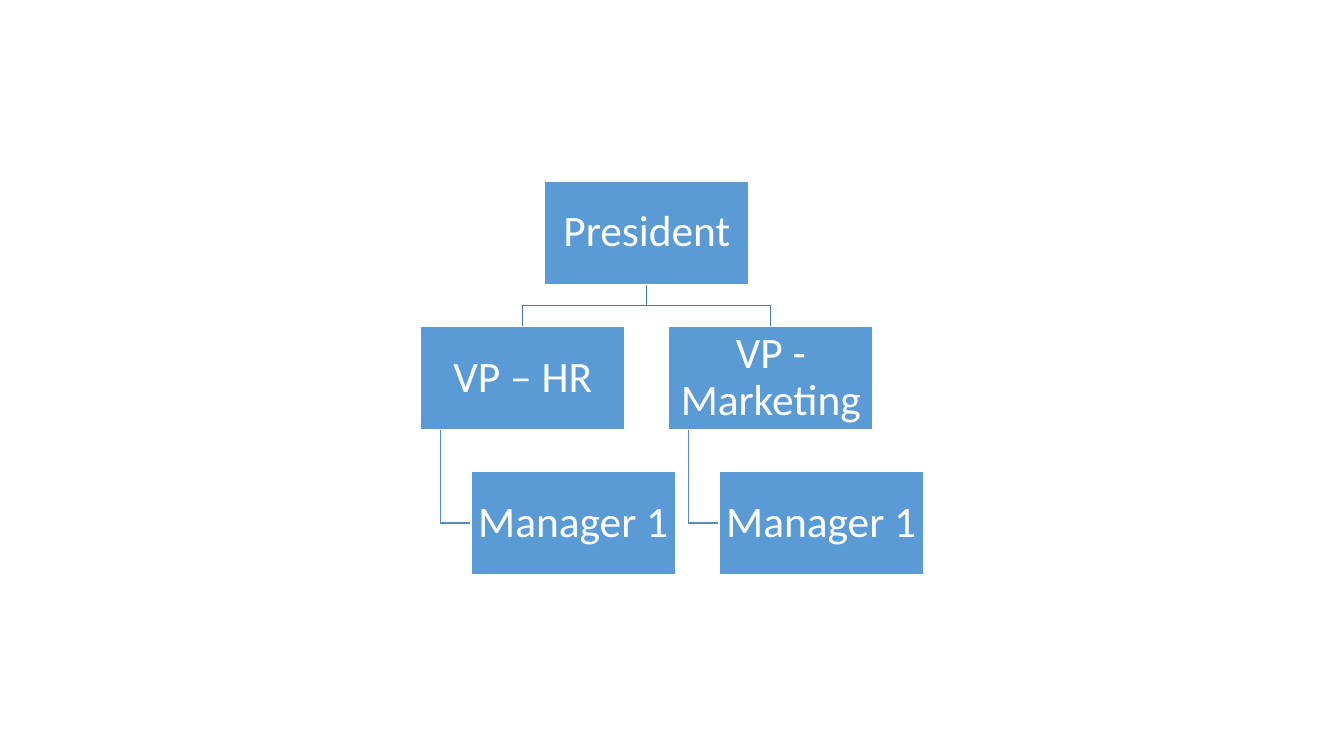
from dataclasses import dataclass

from pptx import Presentation
from pptx.dml.color import RGBColor
from pptx.enum.shapes import MSO_SHAPE
from pptx.enum.text import MSO_ANCHOR, PP_ALIGN
from pptx.slide import Slide
from pptx.util import Inches, Pt

RECTANGLE = MSO_SHAPE.RECTANGLE
MIDDLE = MSO_ANCHOR.MIDDLE
CENTER = PP_ALIGN.CENTER

COLORS = {
    "box": "5B9BD5",
    "white": "FFFFFF",
    "vp_link": "497CAB",
    "manager_link": "538DC1",
}
FONT = "Calibri"
BOX_WIDTH, BOX_HEIGHT = 2.03, 1.02
TOP, LEVEL_STEP = 1.8, 1.44
PRESIDENT_LEFT = 5.4
VP_OFFSET = 1.23
MANAGER_INDENT = 0.5
TRUNK_INSET = 0.2
TEXT_INSET = Inches(0.02)


@dataclass(frozen=True)
class Position:
    title: str
    left: float
    level: int

    @property
    def top(self) -> float:
        return TOP + self.level * LEVEL_STEP

    @property
    def bottom(self) -> float:
        return self.top + BOX_HEIGHT

    @property
    def center(self) -> float:
        return self.left + BOX_WIDTH / 2

    @property
    def middle(self) -> float:
        return self.top + BOX_HEIGHT / 2


@dataclass(frozen=True)
class Branch:
    vp: Position
    manager: Position


def make_branch(vp_title: str, vp_left: float) -> Branch:
    return Branch(
        Position(vp_title, vp_left, 1),
        Position("Manager 1", vp_left + MANAGER_INDENT, 2),
    )


def color(name: str) -> RGBColor:
    return RGBColor.from_string(COLORS[name])


def draw_link(slide: Slide, points: list[tuple[float, float]], color_name: str) -> None:
    """Draw an open line through points given in inches."""
    start, *rest = [(Inches(x), Inches(y)) for x, y in points]
    builder = slide.shapes.build_freeform(*start)
    builder.add_line_segments(rest, close=False)
    link = builder.convert_to_shape()
    link.shadow.inherit = False
    link.fill.background()
    link.line.color.rgb = color(color_name)
    link.line.width = Pt(1)


def draw_vp_link(slide: Slide, president: Position, vp: Position) -> None:
    halfway = (president.bottom + vp.top) / 2
    draw_link(slide, [
        (president.center, president.bottom),
        (president.center, halfway),
        (vp.center, halfway),
        (vp.center, vp.top),
    ], "vp_link")


def draw_manager_link(slide: Slide, vp: Position, manager: Position) -> None:
    trunk = vp.left + TRUNK_INSET
    draw_link(slide, [
        (trunk, vp.bottom),
        (trunk, manager.middle),
        (manager.left, manager.middle),
    ], "manager_link")


def draw_position(slide: Slide, position: Position) -> None:
    box = slide.shapes.add_shape(
        RECTANGLE, Inches(position.left), Inches(position.top),
        Inches(BOX_WIDTH), Inches(BOX_HEIGHT))
    box.shadow.inherit = False
    box.fill.solid()
    box.fill.fore_color.rgb = color("box")
    box.line.color.rgb = color("white")
    box.line.width = Pt(1)

    frame = box.text_frame
    frame.text = position.title
    frame.word_wrap = True
    frame.vertical_anchor = MIDDLE
    frame.margin_left = frame.margin_right = TEXT_INSET
    frame.margin_top = frame.margin_bottom = TEXT_INSET
    paragraph = frame.paragraphs[0]
    paragraph.alignment = CENTER
    paragraph.line_spacing = 0.9
    font = paragraph.runs[0].font
    font.name = FONT
    font.size = Pt(31)
    font.color.rgb = color("white")


def main() -> None:
    presentation = Presentation()
    presentation.slide_width = Inches(13.33)
    presentation.slide_height = Inches(7.5)
    slide = presentation.slides.add_slide(presentation.slide_layouts[6])

    president = Position("President", PRESIDENT_LEFT, 0)
    branches = [
        make_branch("VP – HR", PRESIDENT_LEFT - VP_OFFSET),
        make_branch("VP - Marketing", PRESIDENT_LEFT + VP_OFFSET),
    ]

    for branch in reversed(branches):
        draw_manager_link(slide, branch.vp, branch.manager)
        draw_vp_link(slide, president, branch.vp)
    draw_position(slide, president)
    for branch in branches:
        draw_position(slide, branch.vp)
        draw_position(slide, branch.manager)

    presentation.save("out.pptx")


if __name__ == "__main__":
    main()
